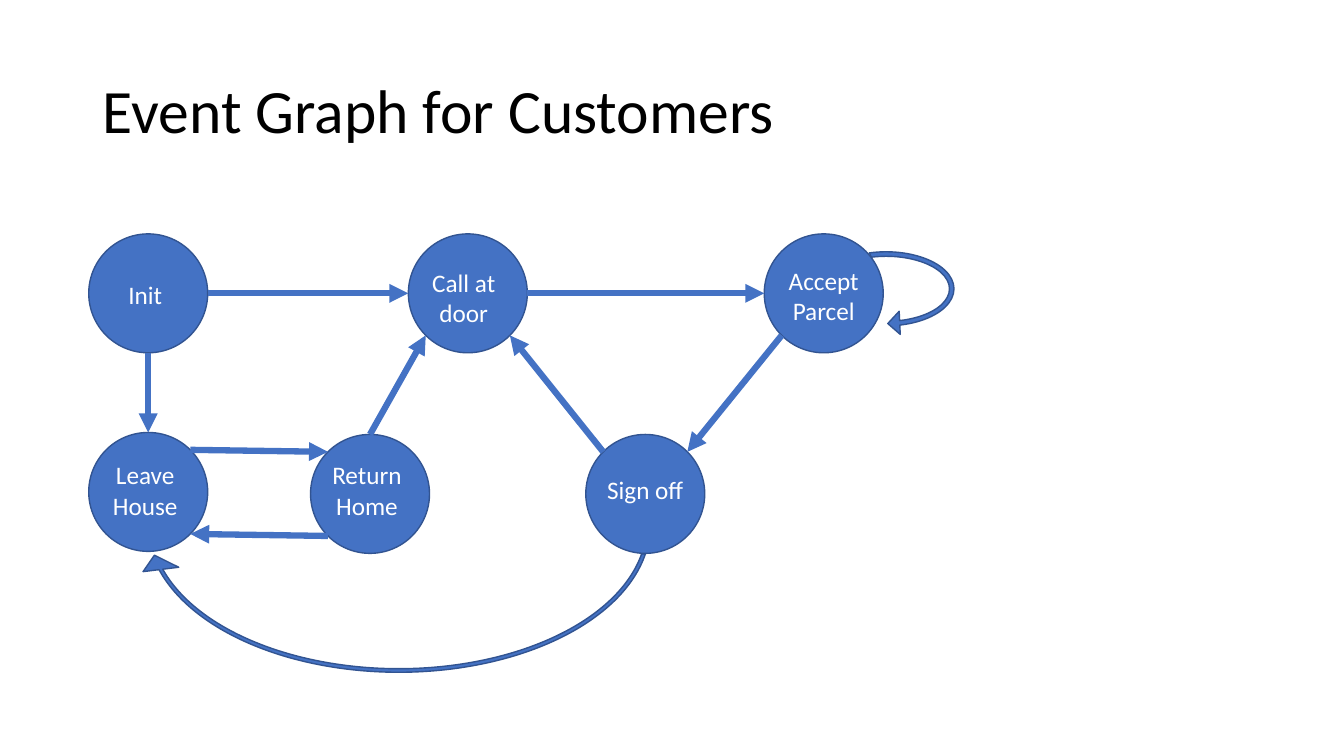
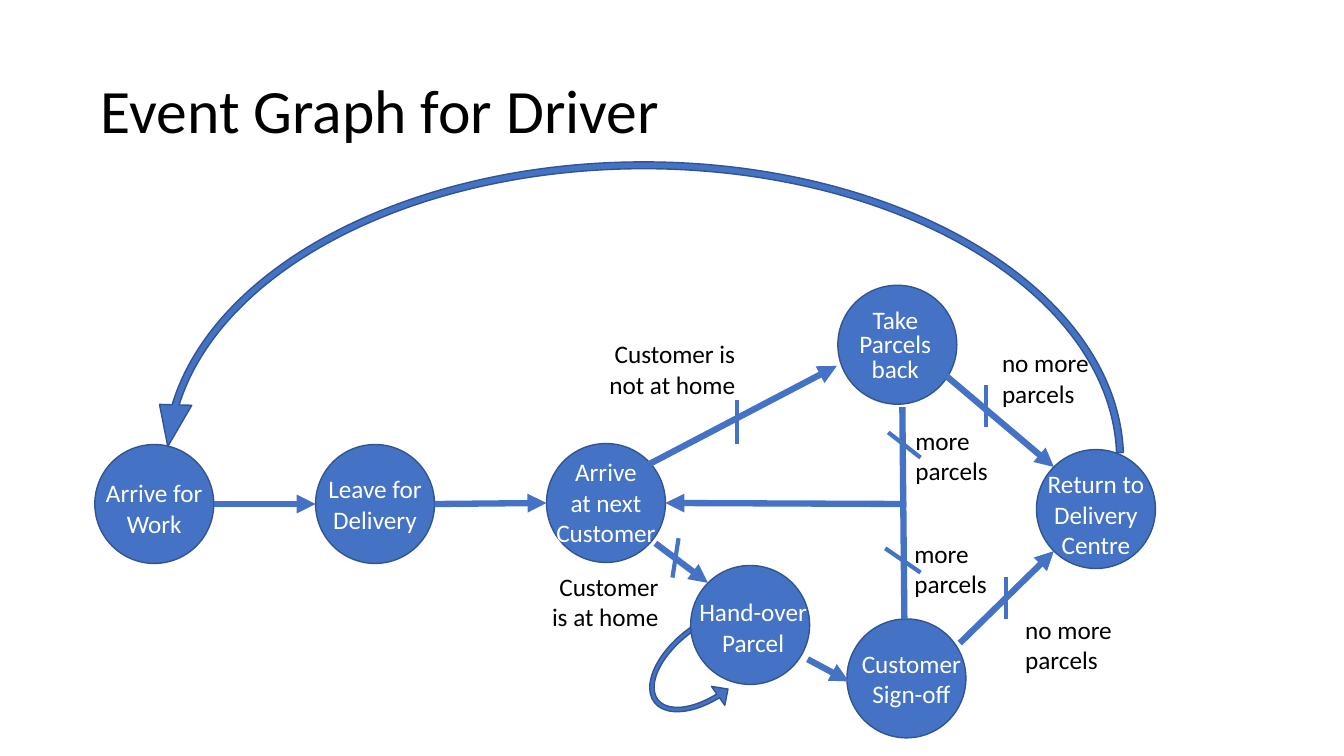
from math import cos, pi, sin

from lxml.etree import SubElement
from pptx import Presentation
from pptx.dml.color import RGBColor
from pptx.enum.shapes import MSO_CONNECTOR as CXN, MSO_SHAPE as SHAPE
from pptx.enum.text import MSO_ANCHOR as ANCHOR, PP_ALIGN as ALIGN
from pptx.oxml.ns import qn
from pptx.util import Inches, Pt

BLUE = RGBColor(0x44, 0x72, 0xC4)
OUTLINE = RGBColor(0x32, 0x54, 0x91)
WHITE = RGBColor(0xFF, 0xFF, 0xFF)
BLACK = RGBColor(0, 0, 0)
FONT = "Calibri"
NODE = 1.18
TOP, TOP_LEFT, LEFT, BOTTOM_LEFT, BOTTOM, BOTTOM_RIGHT, RIGHT, TOP_RIGHT = range(8)


def style_text(tf, size, color, align, spacing=None):
    """Apply one text style to every paragraph of a frame."""
    for p in tf.paragraphs:
        p.alignment = align
        p.line_spacing = spacing
        p.font.name = FONT
        p.font.size = Pt(size)
        p.font.color.rgb = color


def style_shape(sp):
    """Give a shape the blue fill and dark outline."""
    sp.shadow.inherit = False
    sp.fill.solid()
    sp.fill.fore_color.rgb = BLUE
    sp.line.color.rgb = OUTLINE
    sp.line.width = Pt(1)


def add_title_slide(prs, title, left):
    """Add a slide with the shared title style."""
    s = prs.slides.add_slide(prs.slide_layouts[5])
    sp = s.shapes.title
    sp.left, sp.top, sp.width, sp.height = map(Inches, (left, 0.4, 11.5, 1.45))
    tf = sp.text_frame
    tf.text = title
    tf.vertical_anchor = ANCHOR.MIDDLE
    style_text(tf, 44, BLACK, ALIGN.LEFT, 0.9)
    return s


def add_node(s, x, y, text, dx=0, dy=0, spacing=None):
    """Draw an event circle, its text nudged by dx and dy."""
    sp = s.shapes.add_shape(SHAPE.OVAL, *map(Inches, (x, y, NODE, NODE)))
    style_shape(sp)
    tf = sp.text_frame
    tf.text = text
    tf.word_wrap = False
    tf.vertical_anchor = ANCHOR.MIDDLE
    tf.margin_left, tf.margin_right = Inches(0.1 + dx), Inches(0.1 - dx)
    tf.margin_top, tf.margin_bottom = Inches(0.05 + dy), Inches(0.05 - dy)
    style_text(tf, 18, WHITE, ALIGN.CENTER, spacing)
    return sp


def add_curve(s, x, y, w, h, adjustments, rotation=0, flip_v=False):
    """Draw a mirrored circular arrow."""
    sp = s.shapes.add_shape(SHAPE.CIRCULAR_ARROW, *map(Inches, (x, y, w, h)))
    style_shape(sp)
    for i, value in enumerate(adjustments):
        sp.adjustments[i] = value
    sp.rotation = rotation
    xfrm = sp._element.spPr.find(qn("a:xfrm"))
    xfrm.set("flipH", "1")
    if flip_v:
        xfrm.set("flipV", "1")


def add_line(s, start, end, width, arrow=False):
    """Draw a straight line, with an arrowhead at its end if asked."""
    cxn = s.shapes.add_connector(CXN.STRAIGHT, *map(Inches, (*start, *end)))
    cxn.line.color.rgb = BLUE
    cxn.line.width = Pt(width)
    if arrow:
        SubElement(cxn.line._get_or_add_ln(), qn("a:tailEnd"), type="triangle")
    SubElement(cxn._element.spPr, qn("a:effectLst"))
    return cxn


def add_label(s, x, y, w, text, align):
    """Write a condition beside an arrow."""
    sp = s.shapes.add_textbox(*map(Inches, (x, y, w, 0.71)))
    tf = sp.text_frame
    tf.word_wrap = True
    tf.text = text
    style_text(tf, 18, BLACK, align)


def add_graph(s, left, top, nodes, links, curves, plain=(), ticks=(), labels=()):
    """Draw an event graph whose parts are placed from its left top corner."""
    def at(x, y):
        return left + x, top + y

    def end_point(end):
        if not isinstance(end[0], str):
            return at(*end)
        name, site = end
        x, y = nodes[name][:2]
        angle = pi / 2 + site * pi / 4
        r = NODE / 2
        return at(x + r + r * cos(angle), y + r - r * sin(angle))

    for x, y, *rest in curves:
        add_curve(s, *at(x, y), *rest)
    circles = {name: add_node(s, *at(x, y), *rest)
               for name, (x, y, *rest) in nodes.items()}
    for ends in links:
        cxn = add_line(s, *map(end_point, ends), 4.5, arrow=True)
        props = cxn._element.find(".//" + qn("p:cNvCxnSpPr"))
        for tag, end in zip(("a:stCxn", "a:endCxn"), ends):
            if isinstance(end[0], str):
                SubElement(props, qn(tag), id=str(circles[end[0]].shape_id),
                           idx=str(end[1]))
    for width, lines in ((4.5, plain), (3, ticks)):
        for start, end in lines:
            add_line(s, at(*start), at(*end), width)
    for x, y, *rest in labels:
        add_label(s, *at(x, y), *rest)


LOOP = (0.049, 11.423, 203.017, 92.887, 0.125)


def customer_slide(prs):
    """Build the event graph for customers."""
    s = add_title_slide(prs, "Event Graph for Customers", 0.92)
    nodes = {
        "init": (0, 0, "Init", -0.03, 0.01),
        "call": (3.17, 0, "Call at\ndoor", -0.04, 0.04),
        "accept": (6.7, 0, "Accept\nParcel", 0, 0.02),
        "leave": (0, 1.97, "Leave\nHouse", -0.03, -0.02),
        "return": (2.2, 1.99, "Return\nHome", -0.03, -0.04),
        "sign": (4.93, 1.99, "Sign off", 0, -0.04),
    }
    links = [
        (("init", RIGHT), ("call", LEFT)),
        (("call", RIGHT), ("accept", LEFT)),
        (("init", BOTTOM), ("leave", TOP)),
        (("leave", TOP_RIGHT), ("return", TOP_LEFT)),
        (("return", BOTTOM_LEFT), ("leave", BOTTOM_RIGHT)),
        (("return", TOP), ("call", BOTTOM_LEFT)),
        (("accept", BOTTOM_LEFT), ("sign", TOP_RIGHT)),
        (("sign", TOP_LEFT), ("call", BOTTOM_RIGHT)),
    ]
    curves = [
        (7.45, -0.22, 0.92, 1.53, LOOP, 270, True),
        (0.42, 1.27, 5.31, 3.24, (0.011, 2.126, 209.667, 112.028, 0.055), 0, True),
    ]
    add_graph(s, 0.88, 2.32, nodes, links, curves)


def driver_slide(prs):
    """Build the event graph for the driver."""
    s = add_title_slide(prs, "Event Graph for Driver", 0.9)
    nodes = {
        "work": (0, 2.93, "Arrive for\nWork", 0, 0.04),
        "leave": (2.19, 2.93, "Leave for\nDelivery"),
        "next": (4.48, 2.92, "Arrive\nat next\nCustomer", 0, -0.01),
        "return": (9.34, 2.98, "Return to\nDelivery\nCentre", 0, 0.05),
        "sign": (7.46, 4.66, "Customer\nSign-off", 0.05),
        "hand": (5.91, 4.13, "Hand-over\nParcel", 0.03, 0.02),
        "take": (7.37, 1.35, "Take\nParcels\nback", -0.02, 0.02, 0.8),
    }
    links = [
        (("work", RIGHT), ("leave", LEFT)),
        (("leave", RIGHT), ("next", LEFT)),
        ((5.45, 3.15), (7.36, 2.15)),
        ((5.56, 3.91), ("hand", TOP_LEFT)),
        ((7.07, 5.06), (7.48, 5.28)),
        ((8.58, 4.9), ("return", BOTTOM_LEFT)),
        ((8.41, 2.22), ("return", TOP_LEFT)),
        ((8.05, 3.52), ("next", RIGHT)),
    ]
    curves = [
        (5.62, 4.31, 0.92, 1.53, LOOP, 231.9),
        (0.56, 0, 9.77, 6.16, (0.011, 3.059, 211.997, 108.506, 0.026)),
    ]
    plain = [((8.01, 2.56), (8.03, 4.66))]
    ticks = [
        ((6.37, 2.49), (6.37, 2.92)),
        ((8.84, 2.34), (8.84, 2.76)),
        ((7.87, 2.81), (8.19, 3.06)),
        ((7.84, 3.96), (8.19, 4.2)),
        ((9.04, 4.24), (9.04, 4.66)),
        ((5.79, 3.86), (5.73, 4.25)),
    ]
    labels = [
        (8.9, 1.92, 1.16, "no more parcels", ALIGN.LEFT),
        (9.13, 4.56, 1.16, "no more parcels", ALIGN.LEFT),
        (8.04, 2.69, 1.16, "more parcels", ALIGN.LEFT),
        (8.03, 3.81, 1.16, "more parcels", ALIGN.LEFT),
        (4.39, 4.14, 1.3, "Customer is at home", ALIGN.RIGHT),
        (4.87, 1.83, 1.58, "Customer is not at home", ALIGN.RIGHT),
    ]
    add_graph(s, 0.94, 1.48, nodes, links, curves, plain, ticks, labels)


def main():
    """Build and save the presentation."""
    prs = Presentation()
    prs.slide_width, prs.slide_height = Inches(13.33), Inches(7.5)
    customer_slide(prs)
    driver_slide(prs)
    prs.save("out.pptx")


if __name__ == "__main__":
    main()
